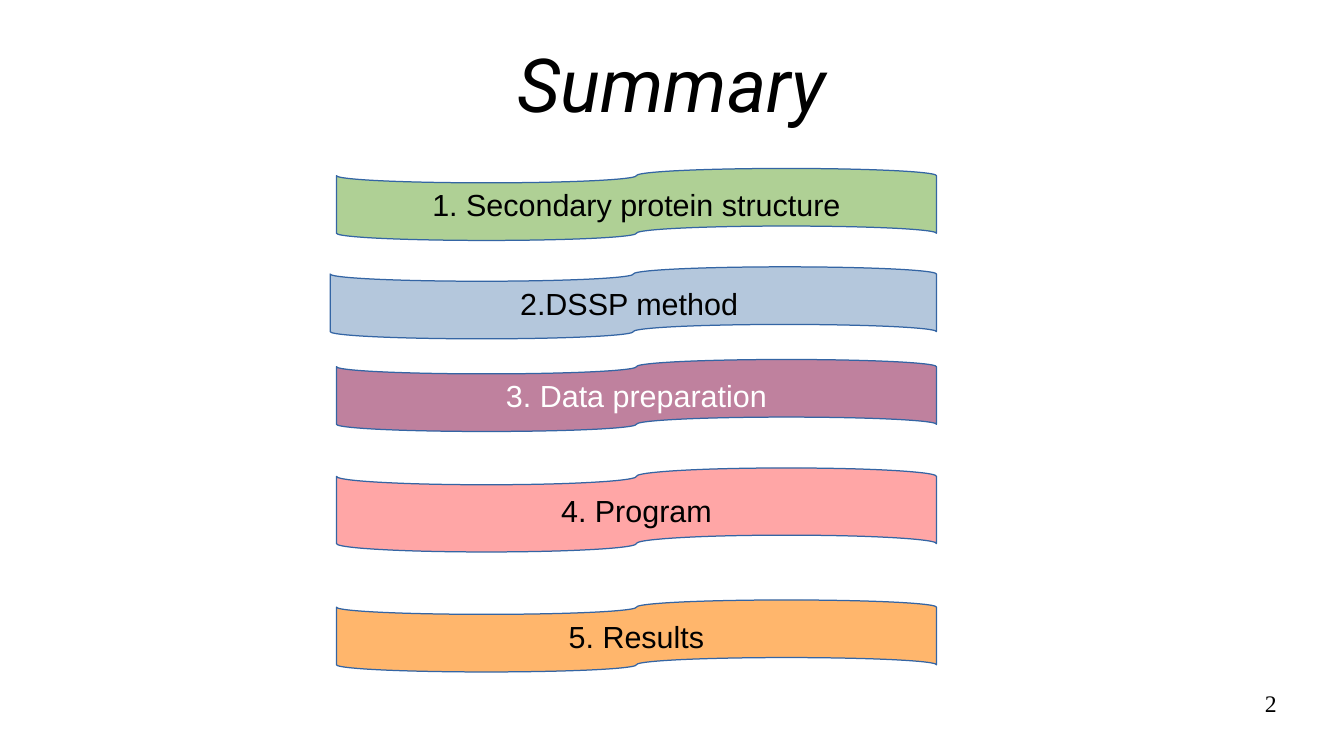
"""Build the summary slide with its five agenda tapes."""
from dataclasses import dataclass

from pptx import Presentation
from pptx import util as u
from pptx.dml import color
from pptx.enum import shapes, text


@dataclass(frozen=True)
class Theme:
    """Colours, fonts and type sizes of the slide."""
    black: str = "000000"
    white: str = "FFFFFF"
    outline: str = "3465A4"
    green: str = "AFD095"
    blue: str = "B4C7DC"
    plum: str = "BF819E"
    pink: str = "FFA6A6"
    orange: str = "FFB66C"
    title_font: str = "Roboto"
    body_font: str = "Arial"
    number_font: str = "Times New Roman"
    title_size: int = 44
    body_size: int = 18
    number_size: int = 14


THEME = Theme()
RIGHT = 19.51
TAPES = [
    ("1. Secondary protein structure", THEME.green, THEME.black, 7.01, 3.51, 1.5),
    ("2.DSSP method ", THEME.blue, THEME.black, 6.88, 5.56, 1.5),
    ("3. Data preparation", THEME.plum, THEME.white, 7.01, 7.49, 1.5),
    ("4. Program", THEME.pink, THEME.black, 7.01, 9.75, 1.75),
    ("5. Results", THEME.orange, THEME.black, 7.01, 12.5, 1.5),
]


def write(tf, content, font=THEME.body_font, size=THEME.body_size, ink=THEME.black,
          italic=False, align=text.PP_ALIGN.CENTER, anchor=text.MSO_ANCHOR.MIDDLE,
          insets=(0, 0)):
    """Put one formatted paragraph into a text frame."""
    tf.word_wrap = True
    tf.auto_size = text.MSO_AUTO_SIZE.NONE
    tf.vertical_anchor = anchor
    tf.margin_left = tf.margin_right = u.Cm(insets[0])
    tf.margin_top = tf.margin_bottom = u.Cm(insets[1])
    p = tf.paragraphs[0]
    p.alignment = align
    r = p.add_run()
    r.text = content
    r.font.name = font
    r.font.size = u.Pt(size)
    r.font.italic = italic
    r.font.color.rgb = color.RGBColor.from_string(ink)


def add_title(s, content, left, top, width, height):
    """Move the title placeholder into its box and fill it."""
    sp = s.shapes.title
    sp.left, sp.top, sp.width, sp.height = map(u.Cm, (left, top, width, height))
    write(sp.text_frame, content, font=THEME.title_font, size=THEME.title_size,
          italic=True)


def add_tape(s, content, fill, ink, left, top, width, height):
    """Draw one labelled punched tape in its box."""
    sp = s.shapes.add_shape(shapes.MSO_SHAPE.FLOWCHART_PUNCHED_TAPE,
                            *map(u.Cm, (left, top, width, height)))
    sp.shadow.inherit = False
    sp.fill.solid()
    sp.fill.fore_color.rgb = color.RGBColor.from_string(fill)
    sp.line.color.rgb = color.RGBColor.from_string(THEME.outline)
    sp.line.width = u.Pt(0)
    write(sp.text_frame, content, ink=ink, insets=(0.25, 0.13))


def add_number(s, content, left, top, width, height):
    """Place the page number at the right of its box."""
    sp = s.shapes.add_textbox(*map(u.Cm, (left, top, width, height)))
    write(sp.text_frame, content, font=THEME.number_font, size=THEME.number_size,
          align=text.PP_ALIGN.RIGHT, anchor=text.MSO_ANCHOR.TOP)


def main():
    """Assemble and save the presentation."""
    prs = Presentation()
    prs.slide_width, prs.slide_height = u.Cm(28), u.Cm(15.75)
    s = prs.slides.add_slide(prs.slide_layouts.get_by_name("Title Only"))
    add_title(s, "Summary", 1.4, 0.41, 25.2, 2.64)
    for content, fill, ink, left, top, height in TAPES:
        add_tape(s, content, fill, ink, left, top, RIGHT - left, height)
    add_number(s, "2", 20.07, 14.35, 6.53, 1.09)
    prs.save("out.pptx")


if __name__ == "__main__":
    main()
